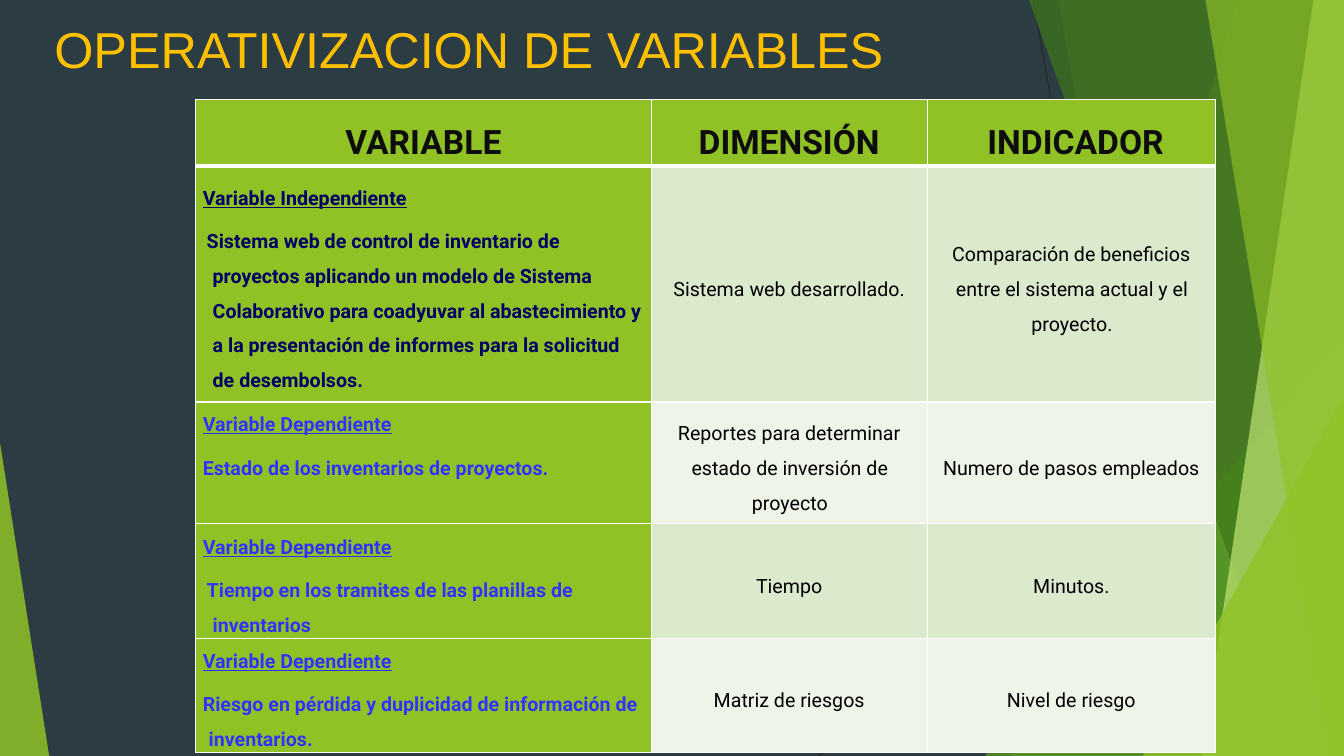
from dataclasses import dataclass
from typing import Any

from lxml.etree import SubElement
from pptx import Presentation
from pptx.dml.color import RGBColor
from pptx.enum.shapes import MSO_CONNECTOR, MSO_SHAPE
from pptx.enum.text import MSO_ANCHOR, PP_ALIGN
from pptx.oxml import parse_xml
from pptx.oxml.ns import nsdecls, qn
from pptx.util import Cm, Pt

WIDTH, HEIGHT = 33.87, 19.05


@dataclass(frozen=True)
class Theme:
    background: str = "2C3C43"
    lime: str = "90C226"
    green: str = "54A021"
    forest: str = "3F7819"
    pale_lime: str = "C0E474"
    ray: str = "262626"
    gold: str = "FFC000"
    white: str = "FFFFFF"
    heading: str = "0D0D0D"
    independent: str = "000066"
    dependent: str = "3333FF"
    black: str = "000000"
    bands: tuple[str, str] = ("DBE9CD", "EEF4E8")
    title_font: str = "Arial"
    table_font: str = "Roboto"
    title_size: int = 36
    heading_size: int = 24
    body_size: int = 14


THEME = Theme()


@dataclass(frozen=True)
class Shard:
    """A facet from a slanted left edge to the right side of the slide."""
    top_x: float
    bottom_x: float
    color: str
    opacity: int


@dataclass(frozen=True)
class Corner:
    """A right triangle standing on the bottom of the slide."""
    left: float
    top: float
    width: float
    apex: float
    color: str
    opacity: int


@dataclass(frozen=True)
class Line:
    text: str
    color: str = THEME.black
    size: int = THEME.body_size
    bold: bool = False
    underline: bool = False
    align: PP_ALIGN = PP_ALIGN.CENTER
    margin: float = 1.27
    hanging: float = 1.27


@dataclass(frozen=True)
class Entry:
    lines: tuple[Line, ...]
    fill: str
    anchor: MSO_ANCHOR = MSO_ANCHOR.MIDDLE


@dataclass(frozen=True)
class Variable:
    kind: str
    description: str
    dimension: str
    indicator: str
    height: float
    color: str = THEME.dependent
    margin: float = 0.25
    hanging: float = 0.15
    anchor: MSO_ANCHOR = MSO_ANCHOR.MIDDLE


RAYS = [(26.04, 0, 29.41, HEIGHT), (WIDTH, 10.24, 20.62, HEIGHT)]
FACETS: list[Shard | Corner] = [
    Shard(31.19, 25.5, THEME.lime, 30),
    Shard(26.67, 30.05, THEME.lime, 20),
    Corner(24.82, 8.46, 9.05, 1, THEME.green, 72),
    Shard(25.93, 32.79, THEME.forest, 70),
    Shard(33.1, 30.28, THEME.pale_lime, 70),
    Shard(30.38, 33.48, THEME.lime, 65),
    Corner(28.8, 9.98, 5.07, 1, THEME.lime, 80),
    Corner(0, 11.15, 1.24, 0, THEME.lime, 85),
]
COLUMN_WIDTHS = (11.48, 6.96, 7.26)
HEADING_HEIGHT = 1.68
HEADINGS = ("VARIABLE", "DIMENSIÓN", " INDICADOR")
VARIABLES = [
    Variable("Variable Independiente",
             "Sistema web de control de inventario de proyectos aplicando un modelo de "
             "Sistema Colaborativo para coadyuvar al abastecimiento y a la presentación "
             "de informes para la solicitud de desembolsos.",
             "Sistema web desarrollado.",
             "Comparación de beneficios entre el sistema actual y el proyecto.",
             5.94, color=THEME.independent),
    Variable("Variable Dependiente", "Estado de los inventarios de proyectos.",
             "Reportes para determinar estado de inversión de proyecto",
             "Numero de pasos empleados", 3.07, margin=1.9, hanging=1.9,
             anchor=MSO_ANCHOR.TOP),
    Variable("Variable Dependiente",
             "Tiempo en los tramites de las planillas de inventarios",
             "Tiempo", "Minutos.", 2.84),
    Variable("Variable Dependiente",
             "Riesgo en pérdida y duplicidad de información de inventarios.",
             "Matriz de riesgos", "Nivel de riesgo", 2.84, margin=0.15),
]


def rgb(color: str) -> RGBColor:
    return RGBColor.from_string(color)


def apply(target: Any, values: dict[str, Any]) -> None:
    for name, value in values.items():
        setattr(target, name, value)


def draw_ray(slide: Any, ends: tuple[float, ...]) -> None:
    ray = slide.shapes.add_connector(MSO_CONNECTOR.STRAIGHT, *map(Cm, ends))
    ray.line.color.rgb = rgb(THEME.ray)
    ray.line.width = Pt(0.75)
    SubElement(ray._element.spPr, qn("a:effectLst"))


def draw_facet(slide: Any, facet: Shard | Corner) -> None:
    if isinstance(facet, Shard):
        outline = slide.shapes.build_freeform(Cm(facet.top_x), Cm(0))
        outline.add_line_segments([(Cm(WIDTH), Cm(0)), (Cm(WIDTH), Cm(HEIGHT)),
                                   (Cm(facet.bottom_x), Cm(HEIGHT))])
        shape = outline.convert_to_shape()
    else:
        shape = slide.shapes.add_shape(
            MSO_SHAPE.ISOSCELES_TRIANGLE, Cm(facet.left), Cm(facet.top),
            Cm(facet.width), Cm(HEIGHT - facet.top))
        shape.adjustments[0] = facet.apex
    shape.shadow.inherit = False
    shape.line.fill.background()
    shape.fill.solid()
    shape.fill.fore_color.rgb = rgb(facet.color)
    color = shape._element.spPr.find(f"{qn('a:solidFill')}/{qn('a:srgbClr')}")
    SubElement(color, qn("a:alpha"), val=str(facet.opacity * 1000))


def draw_title(slide: Any) -> None:
    frame = slide.shapes.add_textbox(Cm(1.12), Cm(0.33), Cm(23.88), Cm(3.66)).text_frame
    frame.word_wrap = True
    run = frame.paragraphs[0].add_run()
    run.text = "OPERATIVIZACION DE VARIABLES"
    apply(run.font, {"name": THEME.title_font, "size": Pt(THEME.title_size)})
    run.font.color.rgb = rgb(THEME.gold)


def write_line(paragraph: Any, line: Line) -> None:
    apply(paragraph, {"alignment": line.align, "line_spacing": 1.5, "space_after": Pt(6)})
    properties = paragraph._p.get_or_add_pPr()
    properties.set("marL", str(Cm(line.margin)))
    properties.set("indent", str(-Cm(line.hanging)))
    run = paragraph.add_run()
    run.text = line.text
    apply(run.font, {"name": THEME.table_font, "size": Pt(line.size),
                     "bold": line.bold, "underline": line.underline})
    run.font.color.rgb = rgb(line.color)


def set_borders(cell: Any, top: int, bottom: int) -> None:
    widths = {"lnL": 1, "lnR": 1, "lnT": top, "lnB": bottom}
    for position, (side, width) in enumerate(widths.items()):
        cell._tc.get_or_add_tcPr().insert(position, parse_xml(
            f'<a:{side} {nsdecls("a")} w="{Pt(width)}"><a:solidFill>'
            f'<a:srgbClr val="{THEME.white}"/></a:solidFill></a:{side}>'))


def fill_cell(cell: Any, entry: Entry) -> None:
    apply(cell, {"margin_left": Cm(0.18), "margin_right": Cm(0.18), "margin_top": 0,
                 "margin_bottom": 0, "vertical_anchor": entry.anchor})
    cell.fill.solid()
    cell.fill.fore_color.rgb = rgb(entry.fill)
    frame = cell.text_frame
    for index, line in enumerate(entry.lines):
        write_line(frame.add_paragraph() if index else frame.paragraphs[0], line)


def variable_entries(variable: Variable, band: str) -> list[Entry]:
    label = {"color": variable.color, "bold": True, "align": PP_ALIGN.LEFT}
    lines = (Line(variable.kind, underline=True, **label),
             Line(variable.description, margin=variable.margin,
                  hanging=variable.hanging, **label))
    details = [Entry((Line(text, margin=0.03, hanging=0.03),), band)
               for text in (variable.dimension, variable.indicator)]
    return [Entry(lines, THEME.lime, variable.anchor), *details]


def draw_table(slide: Any) -> None:
    heights = [HEADING_HEIGHT, *(variable.height for variable in VARIABLES)]
    table = slide.shapes.add_table(len(heights), len(COLUMN_WIDTHS), Cm(4.93), Cm(2.51),
                                   Cm(sum(COLUMN_WIDTHS)), Cm(sum(heights))).table
    for column, width in zip(table.columns, COLUMN_WIDTHS):
        column.width = Cm(width)
    rows = [[Entry((Line(text, THEME.heading, THEME.heading_size, bold=True),), THEME.lime)
             for text in HEADINGS]]
    rows += [variable_entries(variable, THEME.bands[index % 2])
             for index, variable in enumerate(VARIABLES)]
    for index, (entries, height) in enumerate(zip(rows, heights)):
        table.rows[index].height = Cm(height)
        for cell, entry in zip(table.rows[index].cells, entries):
            fill_cell(cell, entry)
            set_borders(cell, top=3 if index == 1 else 1, bottom=3 if index == 0 else 1)


def main() -> None:
    presentation = Presentation()
    apply(presentation, {"slide_width": Cm(WIDTH), "slide_height": Cm(HEIGHT)})
    slide = presentation.slides.add_slide(presentation.slide_layouts[6])
    slide.background.fill.solid()
    slide.background.fill.fore_color.rgb = rgb(THEME.background)
    for ends in RAYS:
        draw_ray(slide, ends)
    for facet in FACETS:
        draw_facet(slide, facet)
    draw_title(slide)
    draw_table(slide)
    presentation.save("out.pptx")


if __name__ == "__main__":
    main()
